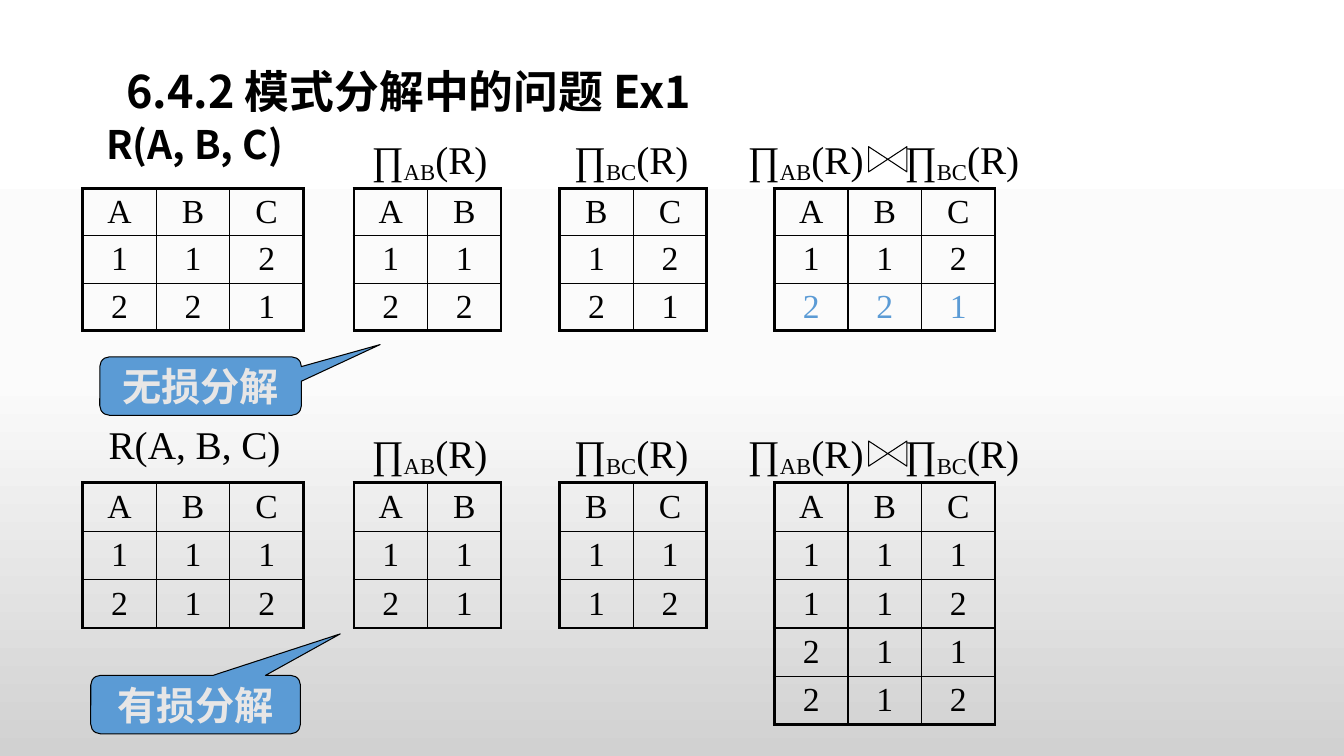
from lxml.etree import SubElement
from pptx import Presentation
from pptx.dml.color import RGBColor
from pptx.enum.shapes import MSO_SHAPE as SHAPE
from pptx.enum.text import MSO_ANCHOR as ANCHOR, MSO_AUTO_SIZE as FIT, PP_ALIGN as ALIGN
from pptx.oxml import parse_xml
from pptx.oxml.ns import nsdecls, qn
from pptx.util import Inches, Pt

BLACK = RGBColor(0x00, 0x00, 0x00)
BLUE = RGBColor(0x5B, 0x9B, 0xD5)
PALE = RGBColor(0xE7, 0xE6, 0xE6)
BACKDROP = [(0, RGBColor(0xFF, 0xFF, 0xFF)), (50, RGBColor(0xFB, 0xFB, 0xFB)),
            (100, RGBColor(0xD1, 0xD1, 0xD1))]
SANS, SERIF = "Noto Sans CJK SC", "Times New Roman"
COL, ROW = 0.73, 0.47
TABLE_DROP = 0.58
LABEL_W, LABEL_H = 2, 0.67
TABLE_X = [0, 2.69, 4.73, 6.86]
PROJECTIONS = [(2.44, 2, "AB"), (4.44, 2, "BC"), (6.17, 2, "AB"), (8.02, 1.4, "BC")]


def box(x, y, w, h):
    """Return a position and size in inches as lengths."""
    return [Inches(v) for v in (x, y, w, h)]


def add_run(p, text, size, color=BLACK, font=SERIF, bold=False):
    """Add one formatted run, with the sans font for Chinese characters."""
    r = p.add_run()
    r.text = text
    r.font.size, r.font.name, r.font.bold = Pt(size), font, bold
    r.font.color.rgb = color
    SubElement(r.font._element, qn("a:ea")).set("typeface", SANS)
    return r


def paint_background(s):
    """Fill the slide with a vertical three-stop gradient."""
    s.background.fill.gradient()
    old = s.background._cSld.find(".//" + qn("a:gradFill"))
    stops = "".join(f'<a:gs pos="{pos * 1000}"><a:srgbClr val="{c}"/></a:gs>'
                    for pos, c in BACKDROP)
    new = parse_xml(f'<a:gradFill {nsdecls("a")} rotWithShape="1"><a:gsLst>{stops}</a:gsLst>'
                    '<a:lin ang="5400000" scaled="0"/></a:gradFill>')
    old.getparent().replace(old, new)


def fill_placeholder(sp, area, text, size, align, anchor):
    """Move a placeholder and write its bold line without a bullet."""
    sp.left, sp.top, sp.width, sp.height = area
    tf = sp.text_frame
    tf.word_wrap, tf.auto_size, tf.vertical_anchor = True, FIT.NONE, anchor
    p = tf.paragraphs[0]
    p.alignment, p.line_spacing, p.space_before = align, 0.9, Pt(0)
    pPr = p._p.get_or_add_pPr()
    pPr.set("marL", "0")
    pPr.set("indent", "0")
    SubElement(pPr, qn("a:buNone"))
    add_run(p, text, size, font=SANS, bold=True)


def label_paragraph(s, x, y, w):
    """Add a centred label box and return its paragraph."""
    tf = s.shapes.add_textbox(*box(x, y, w, LABEL_H)).text_frame
    tf.word_wrap = True
    p = tf.paragraphs[0]
    p.alignment = ALIGN.CENTER
    return p


def projection(s, x, y, w, attributes):
    """Write a projection of R with its attributes as a subscript."""
    p = label_paragraph(s, x, y, w)
    add_run(p, "∏", 28)
    add_run(p, attributes, 28).font._element.set("baseline", "-16000")
    add_run(p, "(R)", 28)


def join_sign(s, x, y):
    """Draw the bow tie of a natural join."""
    sp = s.shapes.add_shape(SHAPE.FLOWCHART_COLLATE, *box(x, y, 0.25, 0.38))
    sp.rotation = 90
    sp.shadow.inherit = False
    sp.fill.background()
    sp.line.color.rgb, sp.line.width = BLACK, Pt(0.75)


def border_cell(cell, thick_sides):
    """Rule the four sides of a cell, thick where it meets the frame."""
    tcPr = cell._tc.get_or_add_tcPr()
    for i, (side, thick) in enumerate(zip("LRTB", thick_sides)):
        width = Pt(2.25 if thick else 1)
        tcPr.insert(i, parse_xml(
            f'<a:ln{side} {nsdecls("a")} w="{width}"><a:solidFill>'
            f'<a:srgbClr val="{BLACK}"/></a:solidFill></a:ln{side}>'))


def relation(s, x, y, rows, marked_row=None):
    """Draw a relation as a table, one string of values for each row."""
    n, m = len(rows), len(rows[0])
    table = s.shapes.add_table(n, m, *box(x, y, m * COL, n * ROW)).table
    table.first_row = table.horz_banding = False
    for i, values in enumerate(rows):
        table.rows[i].height = Inches(ROW)
        for j, value in enumerate(values):
            cell = table.cell(i, j)
            cell.fill.background()
            cell.margin_top = cell.margin_bottom = Inches(0.04)
            cell.vertical_anchor = ANCHOR.MIDDLE
            p = cell.text_frame.paragraphs[0]
            p.alignment = ALIGN.CENTER
            add_run(p, value, 24, BLUE if i == marked_row else BLACK)
            border_cell(cell, (j == 0, j == m - 1, i == 0, i == n - 1))


def decomposition(s, x, y, relations, marked_row=None):
    """Draw R, its two projections and their join in one band."""
    for dx, rows in zip(TABLE_X, relations):
        relation(s, x + dx, y + TABLE_DROP, rows, marked_row if dx == TABLE_X[-1] else None)
    for dx, w, attributes in PROJECTIONS:
        projection(s, x + dx, y, w, attributes)
    join_sign(s, x + 7.86, y + 0.1)


def callout(s, area, text, tip):
    """Add a rounded callout whose tip points at a decomposition."""
    sp = s.shapes.add_shape(SHAPE.ROUNDED_RECTANGULAR_CALLOUT, *area)
    sp.adjustments[0], sp.adjustments[1] = tip
    sp.shadow.inherit = False
    sp.fill.solid()
    sp.fill.fore_color.rgb = BLUE
    sp.line.color.rgb, sp.line.width = BLACK, Pt(0.75)
    sp.text_frame.vertical_anchor = ANCHOR.MIDDLE
    p = sp.text_frame.paragraphs[0]
    p.alignment = ALIGN.CENTER
    add_run(p, text, 28, PALE, bold=True)


def main():
    """Build the slide and save it."""
    prs = Presentation()
    prs.slide_width, prs.slide_height = Inches(13.33), Inches(7.5)
    s = prs.slides.add_slide(prs.slide_layouts[1])
    paint_background(s)
    fill_placeholder(s.shapes.title, box(1.15, 0.68, 8.5, 0.51),
                     "6.4.2 模式分解中的问题 Ex1", 32, ALIGN.LEFT, ANCHOR.MIDDLE)
    fill_placeholder(s.placeholders[1], box(0.93, 1.2, LABEL_W, LABEL_H),
                     "R(A, B, C)", 28, ALIGN.CENTER, ANCHOR.TOP)
    decomposition(s, 0.82, 1.29, [
        ["ABC", "112", "221"], ["AB", "11", "22"], ["BC", "12", "21"],
        ["ABC", "112", "221"]], marked_row=2)
    add_run(label_paragraph(s, 0.93, 4.12, LABEL_W), "R(A, B, C)", 28)
    decomposition(s, 0.82, 4.21, [
        ["ABC", "111", "212"], ["AB", "11", "21"], ["BC", "11", "12"],
        ["ABC", "111", "112", "211", "212"]])
    callout(s, box(0.9, 6.7, 2.08, 0.58), "有损分解", (0.69, -1.21))
    callout(s, box(0.99, 3.54, 2, 0.58), "无损分解", (0.89, -0.71))
    prs.save("out.pptx")


if __name__ == "__main__":
    main()
